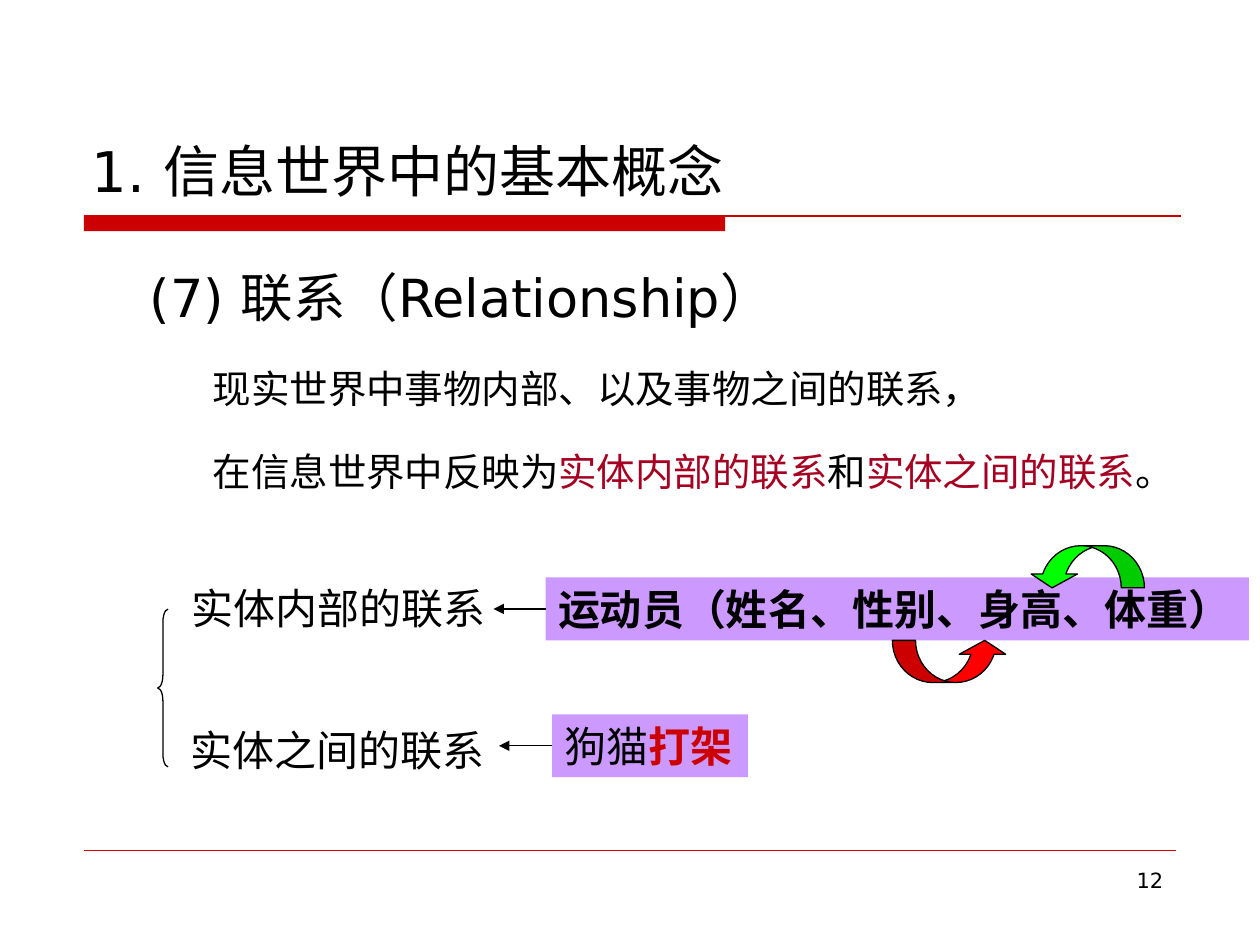
from dataclasses import dataclass
from typing import Optional

from lxml import etree
from pptx import Presentation
from pptx import util as u
from pptx.dml.color import RGBColor
from pptx.enum import shapes, text
from pptx.oxml import ns

Cm, Pt = u.Cm, u.Pt
BLACK = RGBColor(0, 0, 0)
RED = RGBColor(0xCC, 0, 0)
CRIMSON = RGBColor(0xA5, 0, 0x21)
LILAC = RGBColor(0xCC, 0x99, 0xFF)
BRIGHT_RED = RGBColor(0xFF, 0, 0)
GREEN = RGBColor(0, 0xFF, 0)
HEAD_FONT, LABEL_FONT = "DejaVu Sans", "Arial"


@dataclass
class Box:
    left: float
    top: float
    width: float
    height: float

    def lengths(self) -> list:
        return [Cm(v) for v in (self.left, self.top, self.width, self.height)]


@dataclass
class Span:
    words: str
    color: RGBColor = BLACK
    bold: bool = False


@dataclass
class Para:
    spans: list
    size: float
    font: str = HEAD_FONT
    align: Optional[text.PP_ALIGN] = None
    level: int = 0
    margin: float = 0
    hanging: float = 0
    spacing: Optional[float] = None
    before: float = 0


@dataclass
class Relation:
    """A kind of relationship, with the example that points to it."""
    label: str
    label_box: Box
    example: list
    example_box: Box
    arrow_end: float


def write(s, paras: list, wrap: bool = True, anchor=text.MSO_ANCHOR.TOP,
          grow: bool = False) -> None:
    tf = s.text_frame
    tf.word_wrap = wrap
    tf.vertical_anchor = anchor
    if grow:
        tf.auto_size = text.MSO_AUTO_SIZE.SHAPE_TO_FIT_TEXT
    for i, para in enumerate(paras):
        p = tf.add_paragraph() if i else tf.paragraphs[0]
        p.alignment = para.align or text.PP_ALIGN.LEFT
        p.level = para.level
        if para.margin:
            pPr = p._p.get_or_add_pPr()
            pPr.set("marL", str(Cm(para.margin)))
            pPr.set("indent", str(-Cm(para.hanging)))
        if para.spacing:
            p.line_spacing = para.spacing
        if para.before:
            p.space_before = Pt(para.before)
        for span in para.spans:
            r = p.add_run()
            r.text = span.words
            r.font.name, r.font.size = para.font, Pt(para.size)
            r.font.bold = span.bold
            r.font.color.rgb = span.color


def add_text(s_tree, box: Box, paras: list, **options) -> None:
    write(s_tree.add_textbox(*box.lengths()), paras, **options)


def add_shape(s_tree, kind, box: Box, fill: Optional[RGBColor] = None,
              line: Optional[RGBColor] = None, adjust: tuple = ()):
    s = s_tree.add_shape(kind, *box.lengths())
    s.shadow.inherit = False
    if fill is None:
        s.fill.background()
    else:
        s.fill.solid()
        s.fill.fore_color.rgb = fill
    if line is None:
        s.line.fill.background()
    else:
        s.line.color.rgb = line
        s.line.width = Pt(0.75)
    for i, value in enumerate(adjust):
        s.adjustments[i] = value
    return s


def add_line(s_tree, x1: float, x2: float, y: float, color: RGBColor, width: float):
    """Draw a level line."""
    c = s_tree.add_connector(shapes.MSO_CONNECTOR.STRAIGHT, Cm(x1), Cm(y), Cm(x2), Cm(y))
    c.line.color.rgb = color
    c.line.width = Pt(width)
    etree.SubElement(c._element.spPr, ns.qn("a:effectLst"))
    return c


def add_relation(s_tree, rel: Relation) -> None:
    add_text(s_tree, rel.label_box, [Para([Span(rel.label)], 24, LABEL_FONT)],
             wrap=False, grow=True)
    box = rel.example_box
    s = add_shape(s_tree, shapes.MSO_SHAPE.RECTANGLE, box, LILAC)
    write(s, [Para(rel.example, 24, LABEL_FONT)])
    arrow = add_line(s_tree, box.left, rel.arrow_end, box.top + box.height / 2, BLACK, 0.75)
    arrow.begin_connect(s, 1)
    ln = arrow.line._get_or_add_ln()
    etree.SubElement(ln, ns.qn("a:tailEnd"), type="triangle")


def detail(*spans: Span) -> Para:
    return Para(list(spans), 22, align=text.PP_ALIGN.JUSTIFY, level=1, margin=2.06,
                hanging=0.79, spacing=1.6, before=5.5)


RELATIONS = [
    Relation("实体内部的联系", Box(3.61, 11.61, 6.43, 1.27),
             [Span("运动员（姓名、性别、身高、体重）", bold=True)],
             Box(11, 11.64, 14.18, 1.27), 9.95),
    Relation("实体之间的联系", Box(3.59, 14.48, 6.43, 1.27),
             [Span("狗猫"), Span("打架", RED, True)],
             Box(11.13, 14.4, 3.95, 1.27), 10.06),
]


def main() -> None:
    prs = Presentation()
    prs.slide_width, prs.slide_height = Cm(25.4), Cm(19.05)
    tree = prs.slides.add_slide(prs.slide_layouts[6]).shapes

    add_shape(tree, shapes.MSO_SHAPE.RECTANGLE, Box(1.69, 4.34, 12.93, 0.32), RED)
    add_line(tree, 1.69, 23.8, 4.35, RED, 1)
    add_line(tree, 1.69, 23.7, 17.15, RED, 0.25)
    add_text(tree, Box(18.2, 17.36, 5.5, 1.32),
             [Para([Span("12")], 12, align=text.PP_ALIGN.RIGHT)])

    add_text(tree, Box(1.6, 0.85, 22.23, 3.38),
             [Para([Span("1. 信息世界中的基本概念")], 32)], anchor=text.MSO_ANCHOR.BOTTOM)
    add_text(tree, Box(2.77, 4.45, 21.59, 5.72), [
        Para([Span("(7) 联系（Relationship）")], 30, align=text.PP_ALIGN.JUSTIFY,
             margin=0.95, hanging=0.95, spacing=1.6),
        detail(Span("现实世界中事物内部、以及事物之间的联系，")),
        detail(Span("在信息世界中反映为"), Span("实体内部的联系", CRIMSON), Span("和"),
               Span("实体之间的联系", CRIMSON), Span("。")),
    ])

    for rel in RELATIONS:
        add_relation(tree, rel)
    add_shape(tree, shapes.MSO_SHAPE.LEFT_BRACE, Box(3.18, 12.28, 0.21, 3.18),
              line=BLACK, adjust=(1.25, 0.5))

    for left, top, fill, turn in ((17.99, 12.91, BRIGHT_RED, 0), (20.74, 11, GREEN, 180)):
        arc = add_shape(tree, shapes.MSO_SHAPE.CURVED_UP_ARROW, Box(left, top, 2.33, 0.85),
                        fill, BLACK, (0.55, 1.1, 0.33))
        arc.rotation = turn

    prs.save("out.pptx")


if __name__ == "__main__":
    main()
